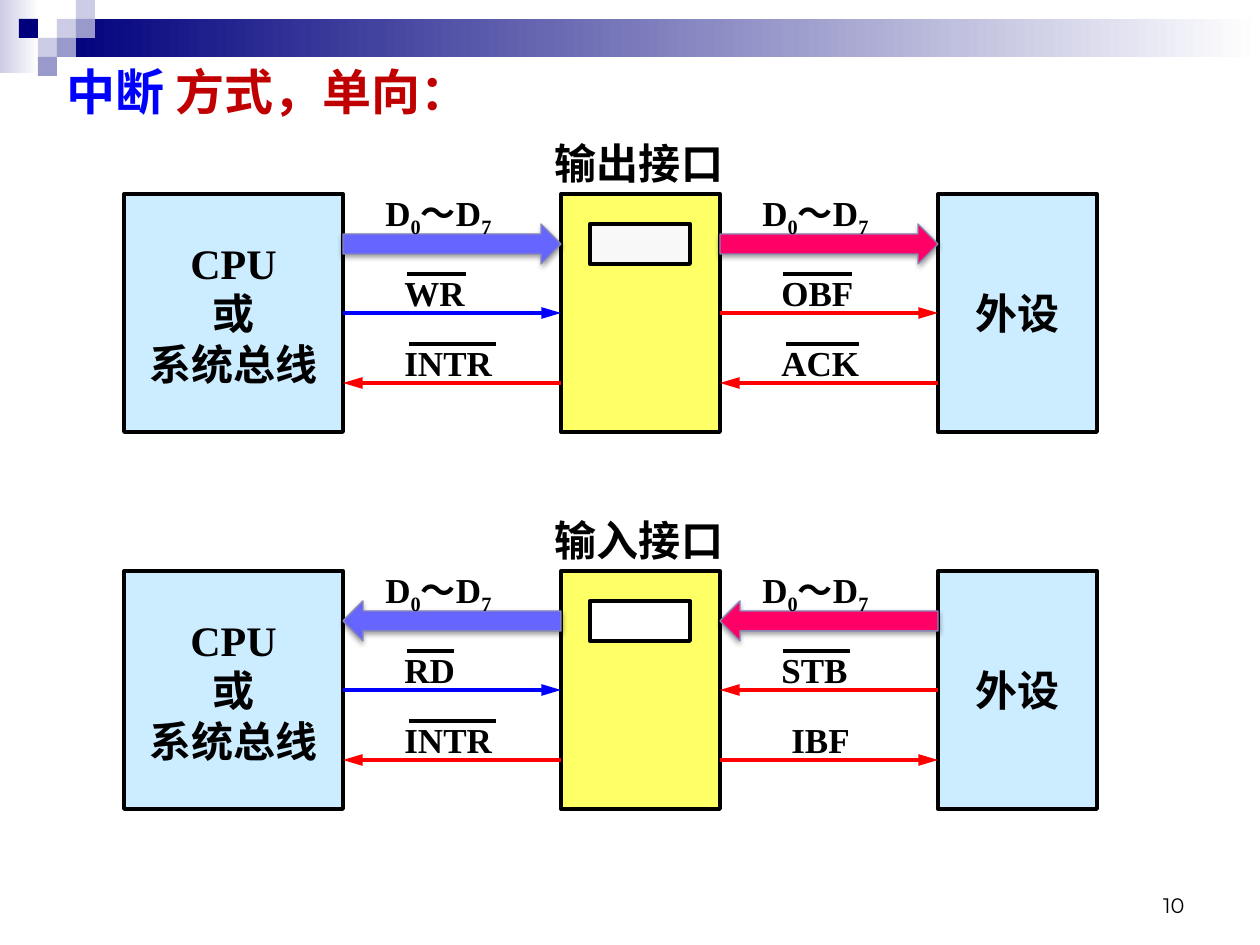
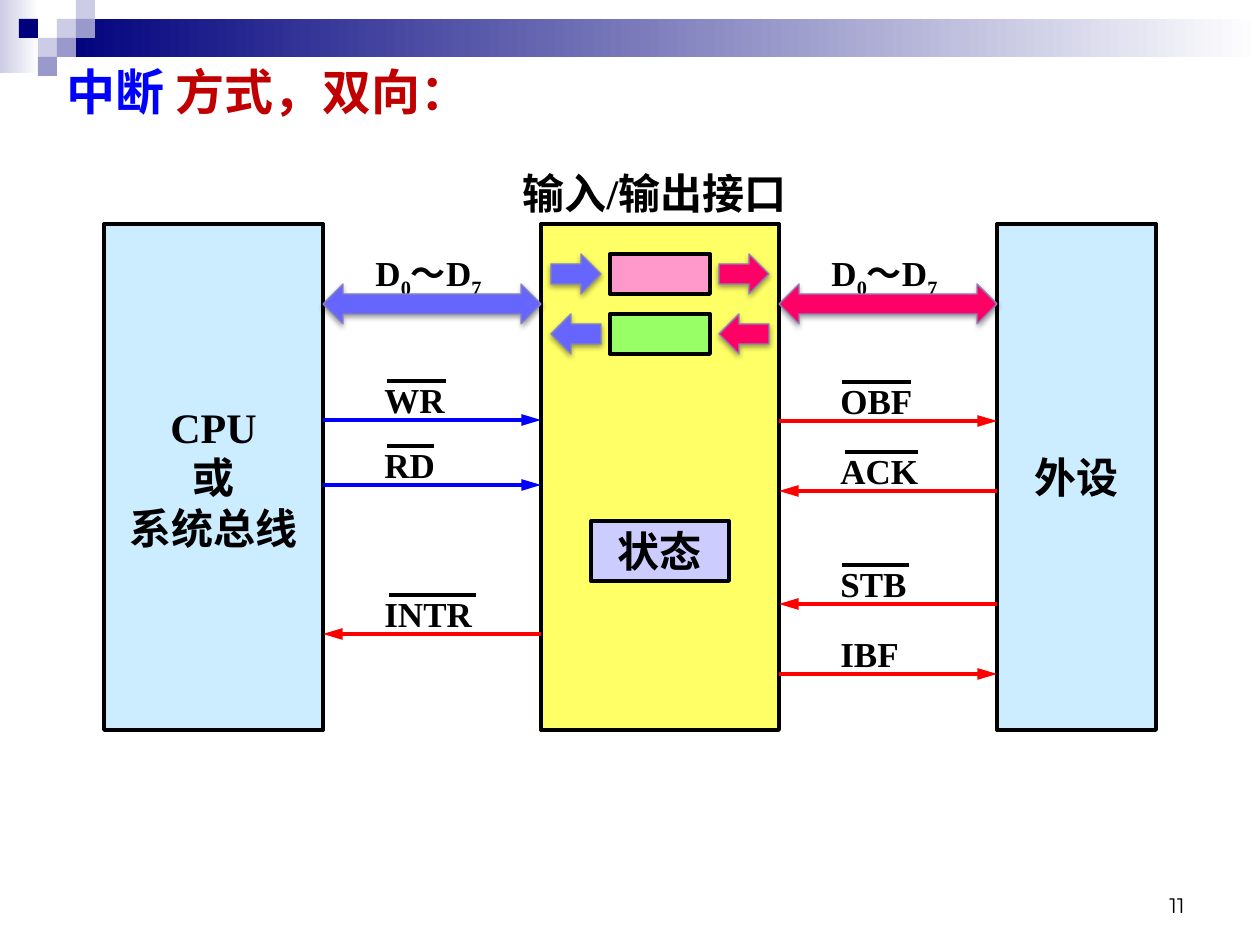
from dataclasses import dataclass

from lxml import etree
from pptx import Presentation
from pptx.dml.color import RGBColor
from pptx.enum.shapes import MSO_CONNECTOR, MSO_SHAPE
from pptx.enum.text import MSO_ANCHOR, MSO_AUTO_SIZE, PP_ALIGN
from pptx.oxml.ns import qn
from pptx.util import Emu, Pt

EMU_PER_PX = 914400 / 126
RECTANGLE = MSO_SHAPE.RECTANGLE
RIGHT_ARROW = MSO_SHAPE.RIGHT_ARROW
LEFT_ARROW = MSO_SHAPE.LEFT_ARROW
TWO_WAY_ARROW = MSO_SHAPE.LEFT_RIGHT_ARROW
STRAIGHT = MSO_CONNECTOR.STRAIGHT
LEFT, CENTER, RIGHT = PP_ALIGN.LEFT, PP_ALIGN.CENTER, PP_ALIGN.RIGHT
TOP, MIDDLE, BOTTOM = MSO_ANCHOR.TOP, MSO_ANCHOR.MIDDLE, MSO_ANCHOR.BOTTOM
LEFT_SITE, RIGHT_SITE = 1, 3


@dataclass(frozen=True)
class Theme:
    font: str = "Times New Roman"
    number_font: str = "Montserrat"
    title_size: int = 28
    block_size: int = 24
    signal_size: int = 20
    number_size: int = 12
    line_width: float = 2.25
    arrow_line_width: float = 0.75
    black: str = "000000"
    white: str = "FFFFFF"
    navy: str = "00007D"
    lavender: str = "9999CC"
    pale_lavender: str = "CCCCE6"
    title_blue: str = "0000FF"
    title_red: str = "C00000"
    block: str = "CCECFF"
    interface: str = "FFFF66"
    output_register: str = "F8F8F8"
    pink_register: str = "FF99CC"
    green_register: str = "99FF66"
    status: str = "CCCCFF"
    bus_blue: str = "6666FF"
    bus_pink: str = "FF0066"
    bus_edge: str = "8686B6"
    blue: str = "0000FF"
    red: str = "FF0000"


THEME = Theme()
BLOCK_GAP = 218
CPU_WIDTH = 219
DEVICE_WIDTH = 159
BUS_HEIGHT = 40
CELL = 19
OVERLINES = {
    "WR": (64, 59),
    "RD": (64, 47),
    "INTR": (66, 87),
    "OBF": (63, 69),
    "ACK": (66, 73),
    "STB": (63, 67),
}


@dataclass
class Block:
    shape: object
    left: int
    top: int
    width: int
    height: int

    @property
    def right(self):
        return self.left + self.width

    @property
    def middle(self):
        return self.top + self.height // 2


def px(value):
    return Emu(round(value * EMU_PER_PX))


def rgb(value):
    return RGBColor.from_string(value)


def style_paragraph(para, size, align=LEFT, name=THEME.font, bold=True):
    para.alignment = align
    para.font.name = name
    para.font.size = Pt(size)
    para.font.bold = bold
    para.font.color.rgb = rgb(THEME.black)


def write_lines(frame, lines, size, align=LEFT, anchor=TOP, **font):
    frame.word_wrap = True
    frame.vertical_anchor = anchor
    frame.text = "\n".join(lines)
    for para in frame.paragraphs:
        style_paragraph(para, size, align, **font)


def add_text(slide, left, top, width, height, text, size, align=LEFT, anchor=TOP, **font):
    box = slide.shapes.add_textbox(px(left), px(top), px(width), px(height))
    write_lines(box.text_frame, [text], size, align, anchor, **font)


def add_plain_shape(slide, kind, left, top, width, height):
    shape = slide.shapes.add_shape(kind, px(left), px(top), px(width), px(height))
    shape.shadow.inherit = False
    return shape


def add_block(slide, left, top, width, height, fill, lines=()):
    shape = add_plain_shape(slide, RECTANGLE, left, top, width, height)
    shape.fill.solid()
    shape.fill.fore_color.rgb = rgb(fill)
    shape.line.color.rgb = rgb(THEME.black)
    shape.line.width = Pt(THEME.line_width)
    if lines:
        write_lines(shape.text_frame, lines, THEME.block_size, CENTER, MIDDLE)
    return Block(shape, left, top, width, height)


def add_block_row(slide, left, top, height, interface_width):
    cpu = add_block(slide, left, top, CPU_WIDTH, height, THEME.block,
                    ["CPU", "或", "系统总线"])
    interface = add_block(slide, cpu.right + BLOCK_GAP, top, interface_width,
                          height, THEME.interface)
    device = add_block(slide, interface.right + BLOCK_GAP, top, DEVICE_WIDTH,
                       height, THEME.block, ["外设"])
    return cpu, interface, device


def add_caption(slide, left, block_top, width, text):
    add_text(slide, left, block_top - 63, width, 63, text, THEME.block_size, CENTER)


def add_inner_box(slide, interface, offset, width, height, fill, lines=()):
    left = interface.left + (interface.width - width) // 2
    add_block(slide, left, interface.top + offset, width, height, fill, lines)


def add_bus_arrow(slide, kind, left, top, width, fill):
    arrow = add_plain_shape(slide, kind, left, top, width, BUS_HEIGHT)
    arrow.fill.solid()
    arrow.fill.fore_color.rgb = rgb(fill)
    arrow.line.color.rgb = rgb(THEME.bus_edge)
    arrow.line.width = Pt(THEME.arrow_line_width)
    effects = arrow.element.spPr.find(qn("a:effectLst"))
    shadow = etree.SubElement(effects, qn("a:outerShdw"), blurRad="40000",
                              dist="20000", dir="5400000", rotWithShape="0")
    color = etree.SubElement(shadow, qn("a:srgbClr"), val=THEME.black)
    etree.SubElement(color, qn("a:alpha"), val="38000")


def add_bus_label(slide, left, bus_top):
    box = slide.shapes.add_textbox(px(left), px(bus_top - 39), px(169), px(55))
    box.text_frame.word_wrap = True
    para = box.text_frame.paragraphs[0]
    style_paragraph(para, THEME.signal_size)
    for text, subscript in (("D", False), ("0", True), ("～D", False), ("7", True)):
        span = para.add_run()
        span.text = text
        if subscript:
            span._r.get_or_add_rPr().set("baseline", "-25000")


def add_line(slide, start, end, color):
    line = slide.shapes.add_connector(STRAIGHT, *map(px, (*start, *end)))
    line.line.color.rgb = rgb(color)
    line.line.width = Pt(THEME.line_width)
    etree.SubElement(line.element.spPr, qn("a:effectLst"))
    return line


def add_signal(slide, source, target, offset, name, color=THEME.red, shift=49):
    y = source.top + offset
    rightward = source.left < target.left
    if rightward:
        gap_left, start, end = source.right, source.right, target.left
        sites = RIGHT_SITE, LEFT_SITE
    else:
        gap_left, start, end = target.right, source.left, target.right
        sites = LEFT_SITE, RIGHT_SITE
    line = add_line(slide, (start, y), (end, y), color)
    if y == source.middle:
        line.begin_connect(source.shape, sites[0])
        line.end_connect(target.shape, sites[1])
    etree.SubElement(line.line._get_or_add_ln(), qn("a:tailEnd"),
                     type="triangle", w="med", len="lg")
    add_text(slide, gap_left + shift, y - 48, 150, 55, name, THEME.signal_size)
    if name in OVERLINES:
        bar_shift, bar_width = OVERLINES[name]
        bar_left, bar_top = gap_left + bar_shift, y - 39
        add_line(slide, (bar_left, bar_top), (bar_left + bar_width, bar_top), THEME.black)


def add_band_part(slide, left, top, width, height, *colors):
    part = add_plain_shape(slide, RECTANGLE, left, top, width, height)
    part.line.fill.background()
    if len(colors) == 1:
        part.fill.solid()
        part.fill.fore_color.rgb = rgb(colors[0])
    else:
        part.fill.gradient()
        part.fill.gradient_angle = 0
        for stop, color in zip(part.fill.gradient_stops, colors):
            stop.color.rgb = rgb(color)
    return part


def add_master_band(deck, slide):
    parts = [
        add_band_part(slide, 0, 0, 39, 73, THEME.pale_lavender, THEME.white),
        add_band_part(slide, 3 * CELL, CELL, 1203, 2 * CELL, THEME.navy, THEME.white),
    ]
    cells = [
        (3, 1, THEME.pale_lavender), (4, 0, THEME.pale_lavender),
        (4, 1, THEME.lavender), (2, 2, THEME.pale_lavender),
        (1, 1, THEME.navy), (3, 2, THEME.lavender), (2, 3, THEME.lavender),
    ]
    for column, row, color in cells:
        parts.append(add_band_part(slide, column * CELL, row * CELL, CELL, CELL, color))
    for number, part in enumerate(parts, 101):
        part.element.nvSpPr.cNvPr.set("id", str(number))
        deck.slide_master.shapes.element.append(part.element)


def add_page(deck, direction, number):
    slide = deck.slides.add_slide(deck.slide_layouts[5])
    title = slide.shapes.title
    title.left, title.top, title.width, title.height = map(px, (54, 55, 625, 72))
    frame = title.text_frame
    frame.auto_size = MSO_AUTO_SIZE.NONE
    frame.vertical_anchor = TOP
    para = frame.paragraphs[0]
    style_paragraph(para, THEME.title_size)
    for text, color in (("中断", THEME.title_blue),
                        (f" 方式，{direction}：", THEME.title_red)):
        span = para.add_run()
        span.text = text
        span.font.color.rgb = rgb(color)
    add_text(slide, 903, 861, 294, 63, str(number), THEME.number_size, RIGHT,
             BOTTOM, name=THEME.number_font, bold=False)
    return slide


def add_one_way_row(slide, top, caption, arrow, register):
    cpu, interface, device = add_block_row(slide, 124, top, 238, 159)
    add_caption(slide, 520, top, 238, caption)
    add_inner_box(slide, interface, 30, 100, 40, register)
    for left, color in ((cpu.right, THEME.bus_blue), (interface.right, THEME.bus_pink)):
        add_bus_arrow(slide, arrow, left, top + 30, BLOCK_GAP, color)
        add_bus_label(slide, left + 30, top + 30)
    return cpu, interface, device


def draw_one_way(slide):
    cpu, interface, device = add_one_way_row(
        slide, 194, "输出接口", RIGHT_ARROW, THEME.output_register)
    add_signal(slide, cpu, interface, 119, "WR", THEME.blue)
    add_signal(slide, interface, cpu, 189, "INTR")
    add_signal(slide, interface, device, 119, "OBF")
    add_signal(slide, device, interface, 189, "ACK")

    cpu, interface, device = add_one_way_row(
        slide, 571, "输入接口", LEFT_ARROW, THEME.white)
    add_signal(slide, cpu, interface, 119, "RD", THEME.blue)
    add_signal(slide, interface, cpu, 189, "INTR")
    add_signal(slide, device, interface, 119, "STB")
    add_signal(slide, interface, device, 189, "IBF", shift=59)


def draw_two_way(slide):
    cpu, interface, device = add_block_row(slide, 104, 224, 506, 238)
    add_caption(slide, 471, interface.top, 367, "输入/输出接口")
    bus_top = interface.top + 60
    for left, color in ((cpu.right, THEME.bus_blue), (interface.right, THEME.bus_pink)):
        add_bus_label(slide, left + 40, bus_top)
        add_bus_arrow(slide, TWO_WAY_ARROW, left, bus_top, BLOCK_GAP, color)
    for offset, arrow, register in ((30, RIGHT_ARROW, THEME.pink_register),
                                    (90, LEFT_ARROW, THEME.green_register)):
        add_inner_box(slide, interface, offset, 100, 40, register)
        for left, color in ((interface.left + 10, THEME.bus_blue),
                            (interface.right - 60, THEME.bus_pink)):
            add_bus_arrow(slide, arrow, left, interface.top + offset, 50, color)
    add_inner_box(slide, interface, 297, 138, 60, THEME.status, ["状态"])
    add_signal(slide, cpu, interface, 196, "WR", THEME.blue)
    add_signal(slide, cpu, interface, 261, "RD", THEME.blue)
    add_signal(slide, interface, cpu, 410, "INTR")
    add_signal(slide, interface, device, 197, "OBF")
    add_signal(slide, device, interface, 267, "ACK")
    add_signal(slide, device, interface, 380, "STB")
    add_signal(slide, interface, device, 450, "IBF")


def main():
    deck = Presentation()
    deck.slide_width, deck.slide_height = px(1260), px(945)
    one_way = add_page(deck, "单向", 10)
    add_master_band(deck, one_way)
    draw_one_way(one_way)
    draw_two_way(add_page(deck, "双向", 11))
    deck.save("out.pptx")


if __name__ == "__main__":
    main()
